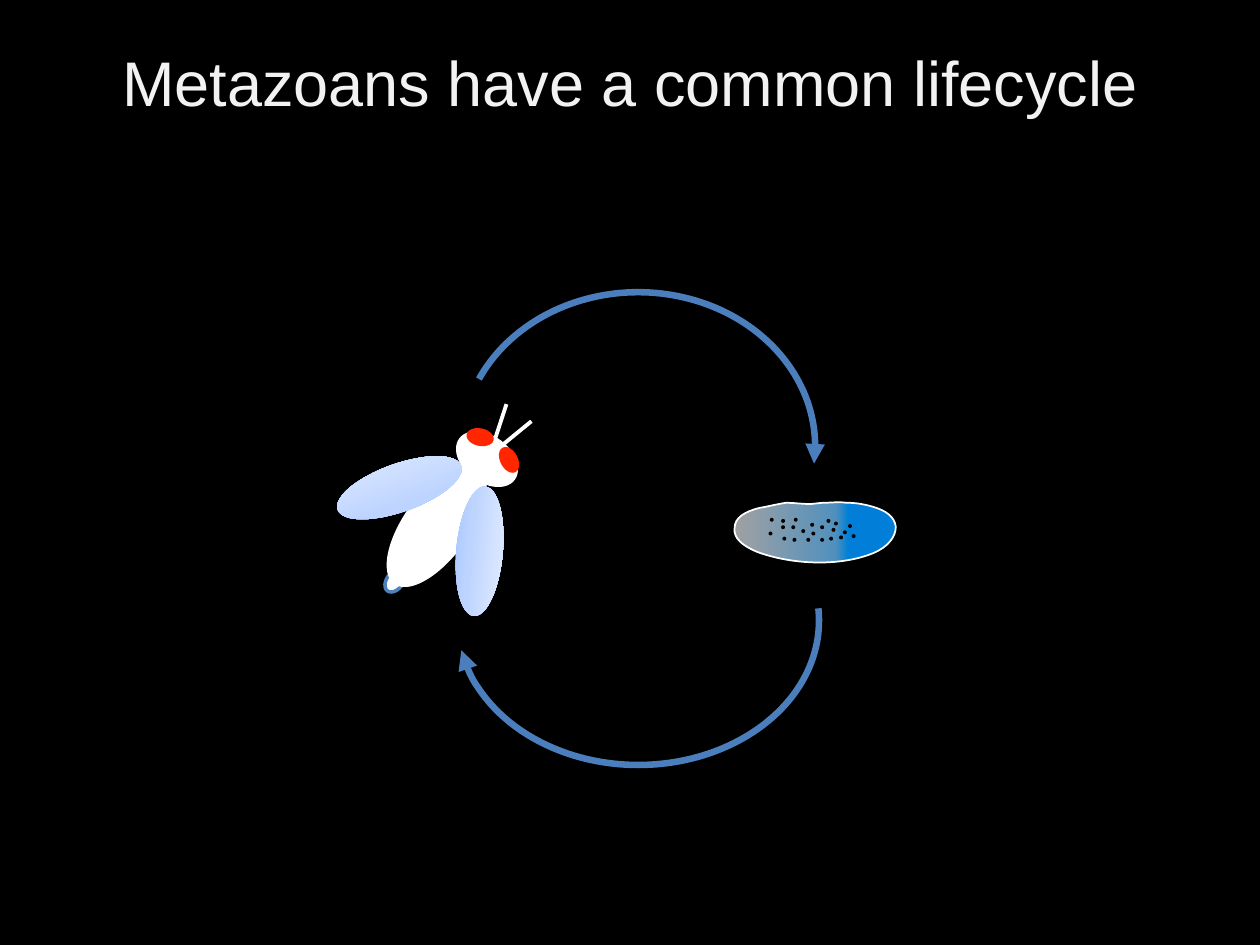
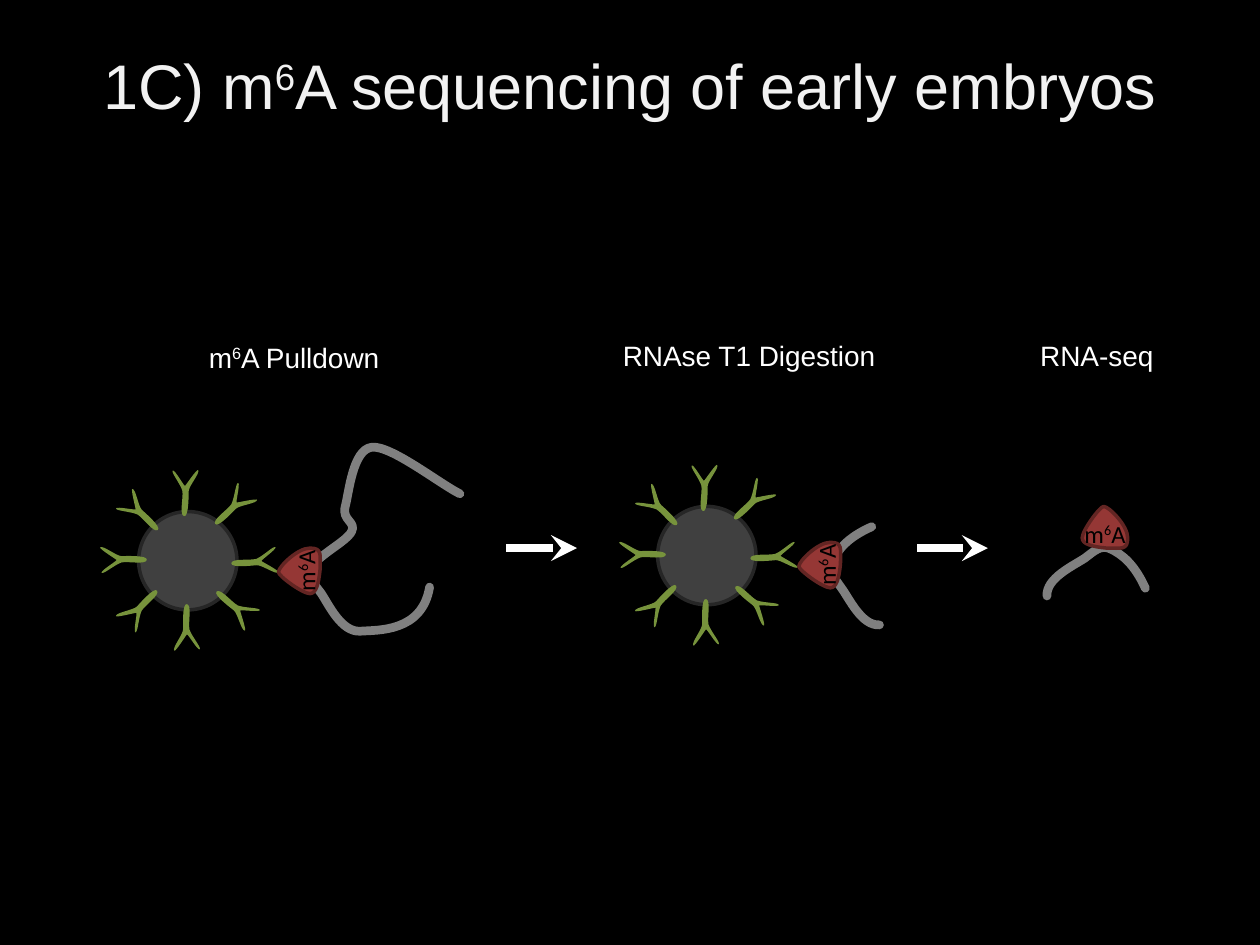
from pptx import Presentation
from pptx.dml.color import RGBColor
from pptx.enum.shapes import MSO_CONNECTOR, MSO_SHAPE
from pptx.enum.text import MSO_ANCHOR, PP_ALIGN
from pptx.oxml.ns import qn
from pptx.util import Pt
from lxml.etree import SubElement

COLORS = {
    "background": "000000", "title": "F2F2F2", "white": "FFFFFF", "black": "000000",
    "cycle": "4B7EBC", "tail": "4F81BD", "eye": "FF2600",
    "bead": "404040", "bead_edge": "262626", "antibody": "77933C",
    "strand": "808080", "cap": "953735", "cap_edge": "632523",
    "wing_dark": "A2C3FF", "wing_mid": "BDD4FF", "wing_light": "E6EEFF",
    "anterior": "C0C0C0", "middle": "60ABE0", "posterior": "0096FF",
}
WING_STOPS = [(0, "wing_dark"), (35, "wing_mid"), (100, "wing_light")]
EMBRYO_STOPS = [(0, "anterior"), (63, "middle"), (71, "posterior"), (100, "posterior")]

EMBRYO = [
    (498.2, 289.4), (506.2, 291.6), (511.2, 295.2), (511.9, 301),
    (511.9, 306.7), (507.6, 312.5), (499, 316.1),
    (479.5, 324), (452.2, 322.6), (432.7, 315.4),
    (424.1, 311.8), (419, 307.4), (419.8, 301.7),
    (419.8, 295.9), (425.5, 292.3), (434.2, 290.2),
    (439.2, 289.4), (444.2, 288), (449.3, 287.3),
    (453.6, 287.3), (457.9, 288), (463, 288),
    (465.1, 288), (468, 287.3), (470.9, 287.3),
    (475.2, 287.3), (479.5, 286.6), (483.8, 287.3),
    (488.9, 287.3), (493.2, 288), (498.2, 289.4),
]
NUCLEI = [
    (446.4, 300.2), (472.3, 296.6), (453.6, 295.9), (452.2, 300.2), (439.2, 303.8),
    (447.1, 306.7), (439.9, 295.9), (473.8, 306.7), (475.2, 301.7), (468.7, 300.2),
    (463.7, 303.8), (468.7, 307.4), (460.8, 307.4), (463, 298.8), (457.9, 302.4),
    (446.4, 296.6), (452.9, 307.4), (486.7, 305.3), (479.5, 306), (484.6, 299.5),
    (476.6, 298.1), (481.7, 303.1),
]
ANTIBODY = [
    (-3, 0.9), (-3, 0.2), (-4.8, -14.1), (-1.85, -13.6),
    (1.05, -13.1), (-0.4, -3.6), (0.6, 0.65),
    (2.35, 4.85), (8.6, 10.9), (7.2, 11.7),
    (5.8, 11.85), (0.1, 3.55), (-0.6, 3.65),
    (-1.25, 4.4), (-6.3, 14.1), (-7.1, 13.5),
    (-8.65, 12.1), (-2.75, 3.8), (-3, 0.9),
]
ANTIBODY_PLACES = [
    (38.5, -0.4, 270), (-2.5, -39.2, 186), (-37.1, 0.4, 94), (0.4, 38.5, 4.2),
    (27.7, 25.6, 313.2), (24.8, -31.3, 229.2), (-27.7, -26.3, 137.2), (-26.3, 27.7, 47.4),
]
CAP = [
    (-13, 5.4), (-13, 1.1), (-2.9, -12.6), (-0.7, -12.6),
    (2.2, -12.6), (13, -1.8), (13, 5.4),
    (13, 12.6), (9.4, 11.2), (0.7, 11.2),
    (-7.2, 10.4), (-13, 9), (-13, 5.4),
]
LONG_RNA = [
    (245.5, 335.5), (241.2, 361.4), (216, 360), (205.9, 360.7),
    (195.1, 361.4), (187.9, 345.6), (183.6, 339.1),
    (179.3, 333.4), (175.7, 329.8), (178.6, 324),
    (181.4, 317.5), (198, 309.6), (200.9, 303.8),
    (203.8, 298.1), (195.1, 297.4), (197.3, 289.4),
    (199.4, 281.5), (201.6, 257), (212.4, 255.6),
    (223.2, 254.2), (251.3, 276.5), (262.8, 282.2),
]
DIGESTED_RNA = [
    (502.6, 357.1), (492.5, 357.8), (485.3, 342), (481, 336.2),
    (476.6, 329.8), (473, 326.2), (475.9, 320.4),
    (478.8, 314.6), (483.8, 307.4), (498.2, 301),
]
FREE_RNA = [
    (598.3, 340.6), (597.6, 330.5), (613.4, 323.3), (619.9, 319),
    (625.7, 314.6), (629.3, 311), (635, 313.9),
    (640.8, 316.8), (648, 321.8), (654.5, 336.2),
]


def rgb(name):
    return RGBColor.from_string(COLORS[name])


class Deck:
    def __init__(self):
        self.prs = Presentation()
        self.prs.slide_width, self.prs.slide_height = Pt(720), Pt(540)
        self.slide = None

    def new_slide(self, title_runs, title_top):
        self.slide = self.prs.slides.add_slide(self.prs.slide_layouts[6])
        fill = self.slide.background.fill
        fill.solid()
        fill.fore_color.rgb = rgb("background")
        self.text(0, title_top, 720, 90, title_runs, 36, "title", MSO_ANCHOR.MIDDLE)

    def add_runs(self, frame, runs, size, color, font="Arial"):
        paragraph = frame.paragraphs[0]
        paragraph.alignment = PP_ALIGN.CENTER
        for index, words in enumerate(runs):
            run = paragraph.add_run()
            run.text = words
            run.font.size, run.font.name = Pt(size), font
            run.font.color.rgb = rgb(color)
            if index % 2:
                run.font._element.set("baseline", "30000")

    def text(self, left, top, width, height, runs, size, color, anchor=MSO_ANCHOR.TOP):
        frame = self.slide.shapes.add_textbox(Pt(left), Pt(top), Pt(width), Pt(height)).text_frame
        frame.word_wrap = True
        frame.vertical_anchor = anchor
        self.add_runs(frame, runs, size, color)

    def paint(self, shape, fill=None, edge=None, weight=1):
        shape.shadow.inherit = False
        if fill:
            shape.fill.solid()
            shape.fill.fore_color.rgb = rgb(fill)
        else:
            shape.fill.background()
        if edge:
            shape.line.color.rgb = rgb(edge)
            shape.line.width = Pt(weight)
        else:
            shape.line.fill.background()
        return shape

    def blend(self, shape, stops, angle, opacity=100):
        shape.fill.gradient()
        shape.fill.gradient_angle = angle
        stop_list = next(shape.element.iter(qn("a:gsLst")))
        for stop in list(stop_list):
            stop_list.remove(stop)
        for position, color in stops:
            stop = SubElement(stop_list, qn("a:gs"), pos=str(position * 1000))
            tone = SubElement(stop, qn("a:srgbClr"), val=COLORS[color])
            SubElement(tone, qn("a:alpha"), val=str(opacity * 1000))

    def preset(self, kind, left, top, width, height, angle=0, **look):
        shape = self.slide.shapes.add_shape(kind, Pt(left), Pt(top), Pt(width), Pt(height))
        shape.rotation = angle
        return self.paint(shape, **look)

    def ellipse(self, *box, **look):
        return self.preset(MSO_SHAPE.OVAL, *box, **look)

    def arrowhead(self, shape, kind):
        SubElement(shape.line._get_or_add_ln(), qn("a:tailEnd"), type=kind)

    def cycle_arc(self, *box, start, end):
        arc = self.preset(MSO_SHAPE.ARC, *box, edge="cycle", weight=3.75)
        arc.adjustments[0], arc.adjustments[1] = start * 0.6, end * 0.6
        self.arrowhead(arc, "triangle")

    def curve(self, points, center=(0, 0), angle=0, **look):
        placed = [(Pt(center[0] + x), Pt(center[1] + y)) for x, y in points]
        builder = self.slide.shapes.build_freeform(*placed[0], scale=1.0)
        builder.add_line_segments(placed[1:], close=points[0] == points[-1])
        shape = builder.convert_to_shape()
        segments = list(shape.element.iter(qn("a:lnTo")))
        for first, second, third in zip(*[iter(segments)] * 3):
            first.tag = qn("a:cubicBezTo")
            for other in (second, third):
                first.append(other[0])
                other.getparent().remove(other)
        shape.rotation = angle
        return self.paint(shape, **look)

    def step_arrow(self, left, right, y):
        arrow = self.slide.shapes.add_connector(MSO_CONNECTOR.STRAIGHT, Pt(left), Pt(y), Pt(right), Pt(y))
        arrow.line.color.rgb = rgb("white")
        arrow.line.width = Pt(5)
        self.arrowhead(arrow, "stealth")
        SubElement(arrow.element.spPr, qn("a:effectLst"))

    def bead(self, x, y):
        self.ellipse(x - 28.1, y - 28.1, 56.2, 56.2, fill="bead", edge="bead_edge", weight=2)
        for dx, dy, angle in ANTIBODY_PLACES:
            self.curve(ANTIBODY, (x + dx, y + dy), angle, fill="antibody")

    def rna(self, points, cap_center, cap_angle):
        strand = self.curve(points, edge="strand", weight=5)
        strand.line._get_or_add_ln().set("cap", "rnd")
        cap = self.curve(CAP, cap_center, cap_angle, fill="cap", edge="cap_edge", weight=2)
        frame = cap.text_frame
        frame.margin_left = frame.margin_right = frame.margin_top = 0
        frame.margin_bottom = Pt(1.3)
        frame.word_wrap = False
        frame.vertical_anchor = MSO_ANCHOR.BOTTOM
        self.add_runs(frame, ["m", "6", "A"], 14, "black", "Calibri")


def lifecycle(deck):
    deck.new_slide(["Metazoans have a common lifecycle"], 1.4)
    embryo = deck.curve(EMBRYO, edge="white")
    deck.blend(embryo, EMBRYO_STOPS, 0, 85)
    for left, top in NUCLEI:
        deck.ellipse(left, top, 2.2, 2.2, fill="black")

    for left, top, angle in [(294.5, 236.9, 50.7), (285.1, 230.4, 18.1)]:
        deck.preset(MSO_SHAPE.RECTANGLE, left, top, 2.2, 20.9, angle, fill="white")
    deck.ellipse(221, 324.7, 9.4, 14.4, 36.9, fill="white", edge="tail", weight=2)
    deck.ellipse(208.1, 281.5, 82.8, 37.4, 125.9, fill="white")
    for wing_box in [(190.8, 265, 74.9, 27.4, 340.4), (236.9, 301.7, 74.2, 26.6, 95.1)]:
        deck.blend(deck.ellipse(*wing_box), WING_STOPS, 90)
    deck.ellipse(258.5, 249.1, 39.6, 26.6, 36.9, fill="white")
    for left, top, angle in [(269.3, 241.9, 101.6), (285.8, 254.9, 152.2)]:
        deck.ellipse(left, top, 10.1, 15.8, angle, fill="eye")

    deck.cycle_arc(263.5, 167, 202.3, 176.4, start=203, end=5.52)
    deck.cycle_arc(261.4, 272.2, 206.6, 164.9, 180, start=176.07, end=350.5)


def sequencing(deck):
    deck.new_slide(["1C) m", "6", "A sequencing of early embryos"], 2.9)
    deck.bead(107.3, 320.4)
    deck.rna(LONG_RNA, (171.7, 326.2), 270)
    deck.bead(403.9, 317.5)
    deck.rna(DIGESTED_RNA, (469.1, 322.9), 270)
    deck.rna(FREE_RNA, (631.4, 302), 0)
    for left in (289.4, 524.2):
        deck.step_arrow(left, left + 40.3, 313.2)
    for left, top, width, runs in [
        (102.2, 190.8, 131.8, ["m", "6", "A Pulldown"]),
        (345.6, 190.1, 164.9, ["RNAse T1 Digestion"]),
        (544.3, 190.1, 164.9, ["RNA-seq"]),
    ]:
        deck.text(left, top, width, 26.6, runs, 16, "white")


def main():
    deck = Deck()
    lifecycle(deck)
    sequencing(deck)
    deck.prs.save("out.pptx")


if __name__ == "__main__":
    main()
